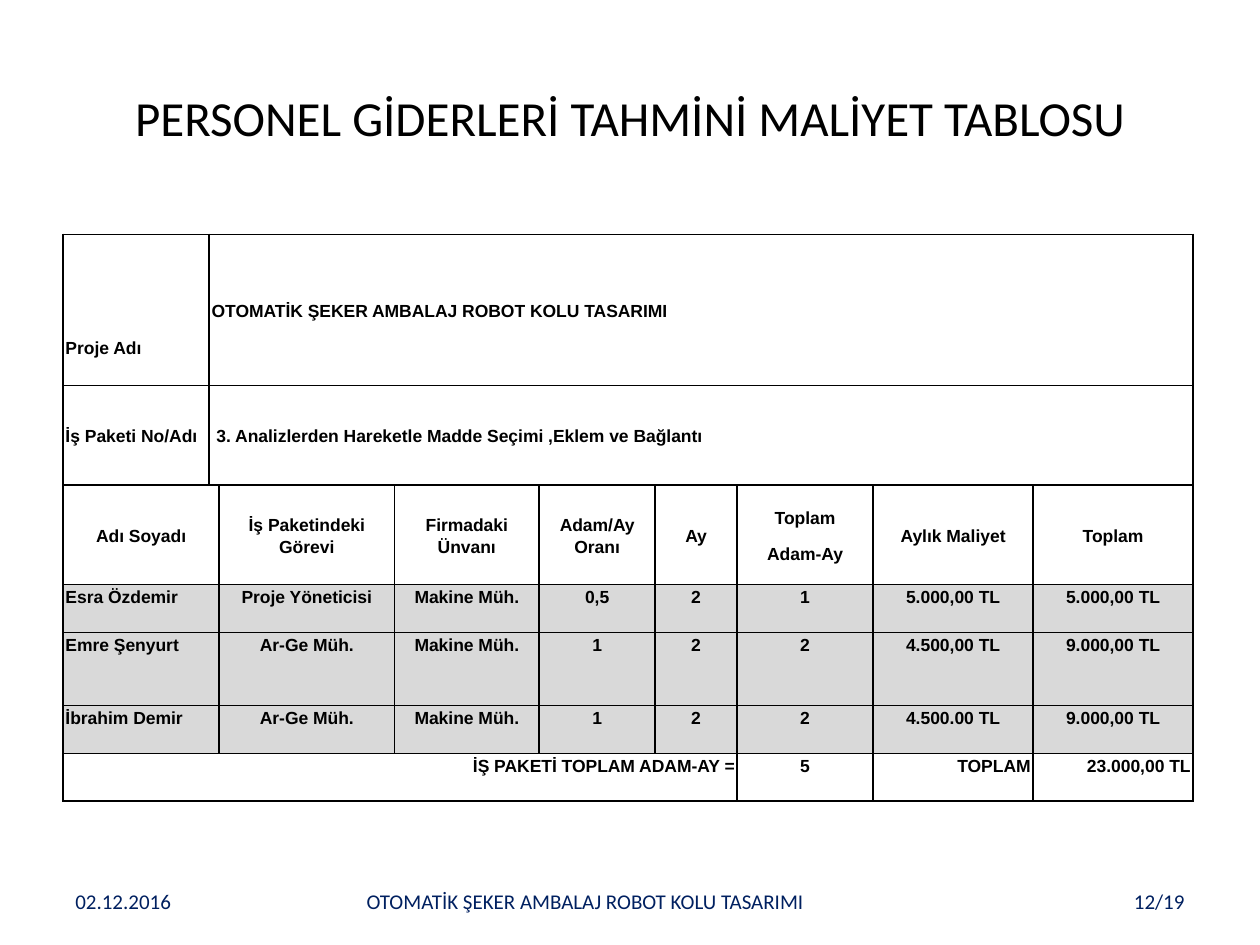
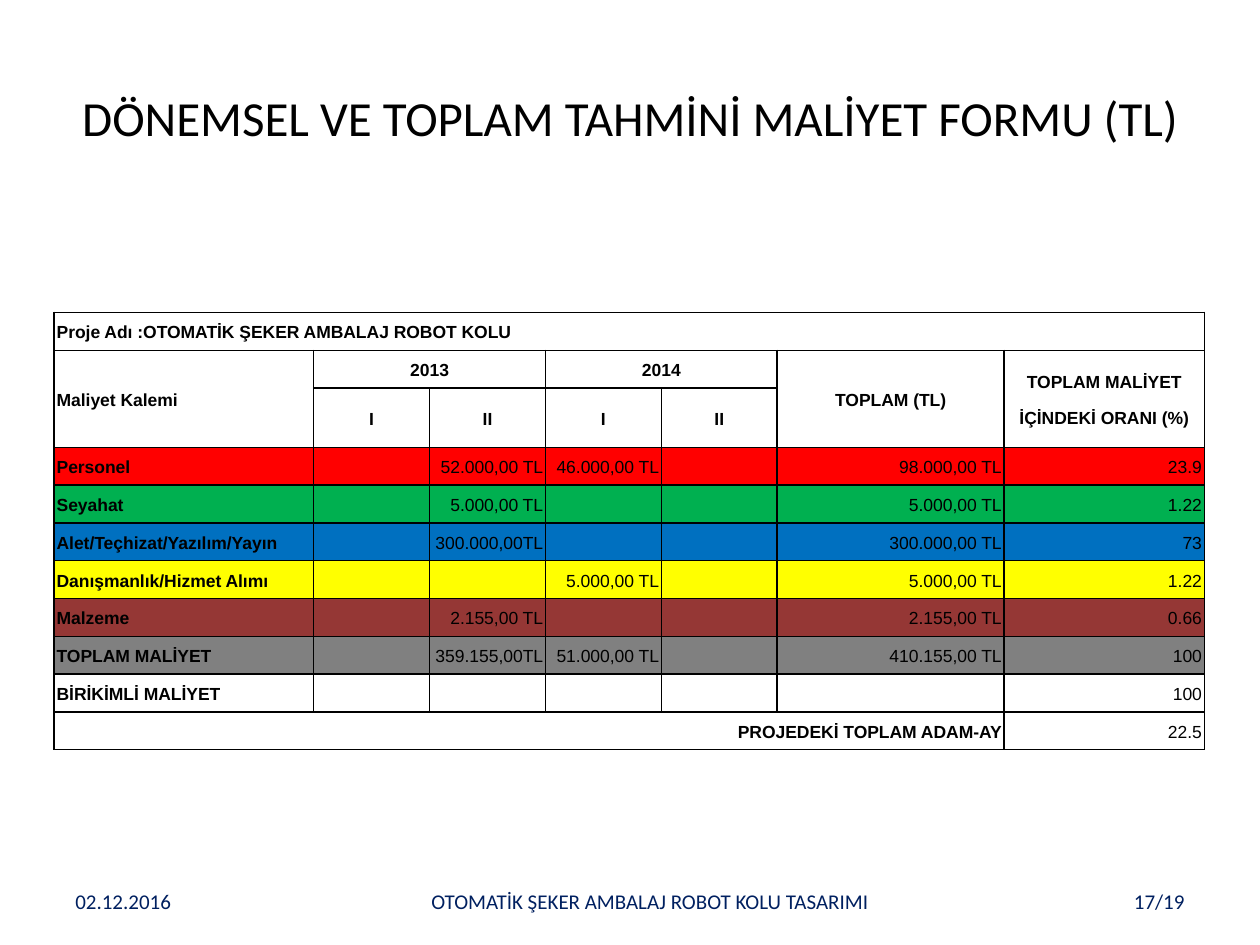
from dataclasses import dataclass, field

from lxml import etree
from pptx import Presentation
from pptx import util as u
from pptx.dml.color import RGBColor
from pptx.enum import text
from pptx.oxml.ns import qn

COLUMNS, ROWS = 20, 15
UNIT = u.Inches(0.5)
ALIGNMENTS = {
    "l": text.PP_ALIGN.LEFT,
    "c": text.PP_ALIGN.CENTER,
    "r": text.PP_ALIGN.RIGHT,
}


@dataclass(frozen=True)
class Theme:
    heading_font: str = "Calibri"
    table_font: str = "Arial"
    title_size: int = 28
    table_size: int = 10
    footer_size: int = 12
    ink: str = "000000"
    navy: str = "002060"
    paper: str = "FFFFFF"
    staff: str = "D9D9D9"
    red: str = "FF0000"
    green: str = "00B050"
    blue: str = "0070C0"
    yellow: str = "FFFF00"
    brown: str = "953735"
    gray: str = "808080"


THEME = Theme()
PROJECT = "OTOMATİK ŞEKER AMBALAJ ROBOT KOLU TASARIMI"
DATE = "02.12.2016"
PAGE_COUNT = 19


@dataclass
class Row:
    """A table row; spans maps a column to its (rows, columns) extent."""
    height: float
    cells: list
    align: str
    fill: str = THEME.paper
    spans: dict = field(default_factory=dict)
    before: float = 0
    after: float = 8
    anchor: text.MSO_ANCHOR = text.MSO_ANCHOR.MIDDLE
    bold_values: bool = True


def grid(*cells):
    return [round(cell * UNIT) for cell in cells]


def style_font(paragraph, name, size, color, bold=False):
    font = paragraph.font
    font.name, font.size, font.bold = name, u.Pt(size), bold
    font.color.rgb = RGBColor.from_string(color)


def add_title(slide, title):
    shape = slide.shapes.title
    shape.left, shape.top, shape.width, shape.height = grid(1, 0.6, 18, 2.5)
    frame = shape.text_frame
    frame.text = title
    frame.auto_size = text.MSO_AUTO_SIZE.NONE
    frame.vertical_anchor = text.MSO_ANCHOR.MIDDLE
    paragraph = frame.paragraphs[0]
    paragraph.alignment = text.PP_ALIGN.CENTER
    style_font(paragraph, THEME.heading_font, THEME.title_size, THEME.ink)


def add_footer(slide, page, project_left, project_width):
    parts = [
        (DATE, 1, 4.66, "l"),
        (PROJECT, project_left, project_width, "c"),
        (f"{page}/{PAGE_COUNT}", 14.34, 4.66, "r"),
    ]
    for content, left, width, align in parts:
        frame = slide.shapes.add_textbox(*grid(left, 13.9, width, 0.8)).text_frame
        frame.word_wrap = True
        frame.vertical_anchor = text.MSO_ANCHOR.MIDDLE
        frame.text = content
        paragraph = frame.paragraphs[0]
        paragraph.alignment = ALIGNMENTS[align]
        style_font(paragraph, THEME.heading_font, THEME.footer_size, THEME.navy)


def add_borders(cell):
    properties = cell._tc.get_or_add_tcPr()
    for side in ("a:lnL", "a:lnR", "a:lnT", "a:lnB"):
        line = etree.SubElement(properties, qn(side), w=str(u.Pt(1)))
        fill = etree.SubElement(line, qn("a:solidFill"))
        etree.SubElement(fill, qn("a:srgbClr"), val=THEME.ink)


def format_cell(cell, content, row, align, bold):
    add_borders(cell)
    cell.fill.solid()
    cell.fill.fore_color.rgb = RGBColor.from_string(row.fill)
    cell.margin_left = cell.margin_right = u.Inches(0.02)
    cell.margin_top = cell.margin_bottom = 0
    cell.vertical_anchor = row.anchor
    cell.text_frame.text = content
    for paragraph in cell.text_frame.paragraphs:
        paragraph.alignment = ALIGNMENTS[align]
        paragraph.line_spacing = 1.15
        paragraph.space_before = u.Pt(row.before)
        paragraph.space_after = u.Pt(row.after)
        style_font(paragraph, THEME.table_font, THEME.table_size, THEME.ink, bold)
        if not content:
            # An empty line takes its height from the end-of-paragraph size.
            etree.SubElement(paragraph._p, qn("a:endParaRPr"),
                             sz=str(THEME.table_size * 100))


def add_table(slide, left, top, widths, rows):
    """Draw rows at a grid position; column widths and row heights in inches."""
    size = u.Inches(sum(widths)), u.Inches(sum(row.height for row in rows))
    table = slide.shapes.add_table(len(rows), len(widths),
                                   *grid(left, top), *size).table
    table.first_row = table.horz_banding = False
    for column, width in zip(table.columns, widths):
        column.width = u.Inches(width)
    for r, row in enumerate(rows):
        table.rows[r].height = u.Inches(row.height)
        for c, (content, align) in enumerate(zip(row.cells, row.align)):
            format_cell(table.cell(r, c), content, row, align,
                        bold=c == 0 or row.bold_values)
        for c, (height, width) in row.spans.items():
            table.cell(r, c).merge(table.cell(r + height - 1, c + width - 1))
    return table


def staff_row(height, name, *values):
    return Row(height, [name, "", *values], "l" + "c" * 8, THEME.staff,
               {0: (1, 2)}, 4.8, 3.6, text.MSO_ANCHOR.TOP)


def cost_row(fill, *cells, spacing=(0, 8)):
    return Row(0.3, cells, "lrrrrrr", fill, {}, *spacing, bold_values=False)


def project_row(height, label, value):
    return Row(height, [label, value] + [""] * 7, "l" * 9, spans={1: (1, 8)})


def add_staff_costs(slide):
    rows = [
        project_row(1.2, "Proje Adı", PROJECT),
        project_row(0.79, "İş Paketi No/Adı",
                    " 3. Analizlerden Hareketle Madde Seçimi ,Eklem ve Bağlantı"),
        Row(0.79, ["Adı Soyadı", "", "İş Paketindeki Görevi", "Firmadaki Ünvanı",
                   "Adam/Ay Oranı", "Ay", "Toplam\nAdam-Ay", "Aylık Maliyet",
                   "Toplam"], "c" * 9, spans={0: (1, 2)}),
        staff_row(0.38, "Esra Özdemir", "Proje Yöneticisi", "Makine Müh.",
                  "0,5", "2", "1", "5.000,00 TL", "5.000,00 TL"),
        staff_row(0.58, "Emre Şenyurt", "Ar-Ge Müh.", "Makine Müh.",
                  "1", "2", "2", "4.500,00 TL", "9.000,00 TL"),
        staff_row(0.38, "İbrahim Demir", "Ar-Ge Müh.", "Makine Müh.",
                  "1", "2", "2", "4.500.00 TL", "9.000,00 TL"),
        Row(0.38, ["İŞ PAKETİ TOPLAM ADAM-AY =", "", "", "", "", "", "5",
                   "TOPLAM", "23.000,00 TL"], "rrrrrrcrr", THEME.paper,
            {0: (1, 6)}, 4.8, 3.6, text.MSO_ANCHOR.TOP),
    ]
    widths = [1.16, 0.08, 1.39, 1.15, 0.92, 0.65, 1.08, 1.27, 1.27]
    table = add_table(slide, 1, 3.72, widths, rows)
    project_label = table.cell(0, 0)
    project_label.vertical_anchor = text.MSO_ANCHOR.BOTTOM
    project_label.margin_bottom = u.Inches(0.22)


def add_period_costs(slide):
    rows = [
        Row(0.3, ["Proje Adı :OTOMATİK ŞEKER AMBALAJ ROBOT KOLU"] + [""] * 6,
            "l" * 7, spans={0: (1, 7)}),
        Row(0.3, ["Maliyet Kalemi", "2013", "", "2014", "", "TOPLAM (TL)",
                  "TOPLAM MALİYET\nİÇİNDEKİ ORANI (%)"], "lcccccc",
            spans={0: (2, 1), 1: (1, 2), 3: (1, 2), 5: (2, 1), 6: (2, 1)}),
        Row(0.47, ["", "I", "II", "I", "II", "", ""], "c" * 7),
        cost_row(THEME.red, "Personel", "", "52.000,00 TL", "46.000,00 TL", "",
                 "98.000,00 TL", "23.9"),
        cost_row(THEME.green, "Seyahat", "", "5.000,00 TL", "", "",
                 "5.000,00 TL", "1.22"),
        cost_row(THEME.blue, "Alet/Teçhizat/Yazılım/Yayın", "", "300.000,00TL",
                 "", "", "300.000,00 TL", "73"),
        cost_row(THEME.yellow, "Danışmanlık/Hizmet Alımı", "", "", "5.000,00 TL",
                 "", "5.000,00 TL", "1.22"),
        cost_row(THEME.brown, "Malzeme", "", "2.155,00 TL", "", "",
                 "2.155,00 TL", "0.66"),
        cost_row(THEME.gray, "TOPLAM MALİYET", "", "359.155,00TL",
                 "51.000,00 TL", "", "410.155,00 TL", "100", spacing=(6, 6)),
        cost_row(THEME.paper, "BİRİKİMLİ MALİYET", "", "", "", "", "", "100",
                 spacing=(6, 6)),
        Row(0.3, ["PROJEDEKİ TOPLAM ADAM-AY", "", "", "", "", "", "22.5"],
            "r" * 7, spans={0: (1, 6)}, before=6, after=6, bold_values=False),
    ]
    widths = [2.06] + [0.92] * 4 + [1.8, 1.59]
    add_table(slide, 0.86, 4.96, widths, rows)


def add_slide(presentation, title):
    title_only = presentation.slide_layouts[5]
    slide = presentation.slides.add_slide(title_only)
    add_title(slide, title)
    return slide


def main():
    presentation = Presentation()
    presentation.slide_width, presentation.slide_height = grid(COLUMNS, ROWS)

    slide = add_slide(presentation, "PERSONEL GİDERLERİ TAHMİNİ MALİYET TABLOSU")
    add_staff_costs(slide)
    add_footer(slide, 12, project_left=3.7, project_width=11.18)

    slide = add_slide(presentation, "DÖNEMSEL VE TOPLAM TAHMİNİ MALİYET FORMU (TL)")
    add_period_costs(slide)
    add_footer(slide, 17, project_left=5.12, project_width=10.4)

    presentation.save("out.pptx")


if __name__ == "__main__":
    main()
